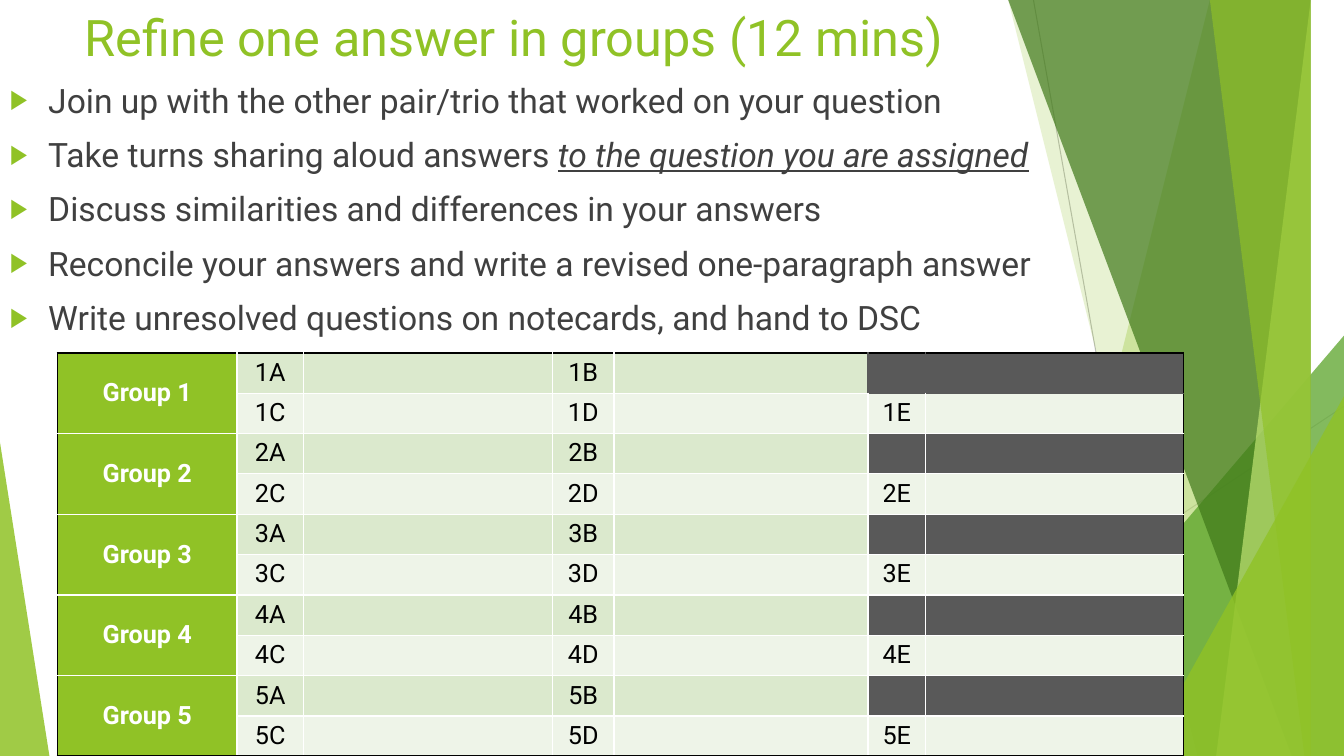
import pptx
import pptx.util
import pptx.dml.color
import pptx.enum.shapes
import pptx.enum.text
import pptx.oxml.ns
import lxml.etree

Inches = pptx.util.Inches
Pt = pptx.util.Pt
qn = pptx.oxml.ns.qn
RGB = pptx.dml.color.RGBColor.from_string
FONT = "Roboto"
HUES = {
    "lime": "90C226", "leaf": "54A021", "pine": "3F7819", "pale": "C0E474",
    "text": "404040", "black": "000000", "white": "FFFFFF", "dark": "595959",
    "band": "DBE9CD", "light": "EEF4E8", "gray": "BFBFBF", "mist": "D9D9D9",
}


def paint(shape, hue, alpha):
    shape.shadow.inherit = False
    shape.line.fill.background()
    shape.fill.solid()
    shape.fill.fore_color.rgb = RGB(HUES[hue])
    tone = shape._element.spPr.find(qn("a:solidFill"))[0]
    lxml.etree.SubElement(tone, qn("a:alpha"), val=str(alpha * 1000))


def style(runs, size, hue, bold=False):
    for run in runs:
        run.font.name = FONT
        run.font.size = Pt(size)
        run.font.bold = bold
        run.font.color.rgb = RGB(HUES[hue])


deck = pptx.Presentation()
deck.slide_width = Inches(13.33)
deck.slide_height = Inches(7.5)
slide = deck.slides.add_slide(deck.slide_layouts[6])
shapes = slide.shapes

rays = [
    (10.25, 0, 11.58, 7.5, "gray"),
    (13.33, 4.03, 8.12, 7.5, "mist"),
]
for x1, y1, x2, y2, hue in rays:
    ray = shapes.add_connector(
        pptx.enum.shapes.MSO_CONNECTOR.STRAIGHT,
        Inches(x1), Inches(y1), Inches(x2), Inches(y2))
    ray.line.color.rgb = RGB(HUES[hue])
    ray.line.width = Pt(0.75)
    lxml.etree.SubElement(ray._element.spPr, qn("a:effectLst"))

shards = [
    ("free", 12.28, 10.04, "lime", 30),
    ("free", 10.5, 11.83, "lime", 20),
    ("tri", (9.77, 3.33, 3.56, 4.17), 1, "leaf", 72),
    ("free", 10.21, 12.91, "pine", 70),
    ("free", 13.03, 11.92, "pale", 70),
    ("free", 11.96, 13.18, "lime", 65),
    ("tri", (11.34, 3.93, 1.99, 3.57), 1, "lime", 80),
    ("tri", (0, 4.39, 0.49, 3.11), 0, "lime", 85),
]
for kind, start, end, hue, alpha in shards:
    if kind == "free":
        pen = shapes.build_freeform(start, 0, scale=Inches(1))
        pen.add_line_segments([(13.33, 0), (13.33, 7.5), (end, 7.5)])
        shard = pen.convert_to_shape()
    else:
        shard = shapes.add_shape(
            pptx.enum.shapes.MSO_SHAPE.ISOSCELES_TRIANGLE,
            *[Inches(side) for side in start])
        shard.adjustments[0] = end
    paint(shard, hue, alpha)

title = shapes.add_textbox(Inches(0.74), 0, Inches(9.4), Inches(0.73))
title.text_frame.word_wrap = True
title.text_frame.vertical_anchor = pptx.enum.text.MSO_ANCHOR.MIDDLE
title.text_frame.text = "Refine one answer in groups (12 mins)"
style(title.text_frame.paragraphs[0].runs, 36, "lime")

steps = [
    ["Join up with the other pair/trio that worked on your question"],
    ["Take turns sharing aloud answers ", "to the question you are assigned"],
    ["Discuss similarities and differences in your answers"],
    ["Reconcile your answers and write a revised one-paragraph answer"],
    ["Write unresolved questions on notecards, and hand to DSC"],
]
body = shapes.add_textbox(0, Inches(0.74), Inches(10.51), Inches(2.76))
frame = body.text_frame
frame.word_wrap = True
for i, parts in enumerate(steps):
    para = frame.add_paragraph() if i else frame.paragraphs[0]
    for part in parts:
        para.add_run().text = part
    style(para.runs, 24, "text")
    for run in para.runs[1:]:
        run.font.italic = True
        run.font.underline = True
    para.space_before = Pt(10)
    props = para._p.get_or_add_pPr()
    props.set("marL", str(Inches(0.38)))
    props.set("indent", str(-Inches(0.38)))
    tint = lxml.etree.SubElement(props, qn("a:buClr"))
    lxml.etree.SubElement(tint, qn("a:srgbClr"), val=HUES["lime"])
    lxml.etree.SubElement(props, qn("a:buSzPct"), val="80000")
    lxml.etree.SubElement(props, qn("a:buFont"), typeface="Arial")
    lxml.etree.SubElement(props, qn("a:buChar"), char="▶")

widths = [1.78, 0.66, 2.47, 0.61, 2.52, 0.57, 2.56]
grid = shapes.add_table(
    10, 7, Inches(0.57), Inches(3.5), Inches(sum(widths)), Inches(3.9)).table
for col, width in zip(grid.columns, widths):
    col.width = Inches(width)
for r in range(10):
    group, low = r // 2 + 1, r % 2
    words = {0: "" if low else f"Group {group}"}
    for c, mark in zip((1, 3, 5), "CDE" if low else "AB"):
        words[c] = f"{group}{mark}"
    for c in range(7):
        cell = grid.cell(r, c)
        hue = "light" if low else "band"
        if c == 0:
            hue = "lime"
        elif c > 4 and not low:
            hue = "dark"
        cell.fill.solid()
        cell.fill.fore_color.rgb = RGB(HUES[hue])
        cell.text_frame.text = words.get(c, "")
        para = cell.text_frame.paragraphs[0]
        para.alignment = pptx.enum.text.PP_ALIGN.CENTER
        para.font.size = Pt(18)
        para.font.name = FONT
        style(para.runs, 18, "black" if c else "white", c == 0)
        if c == 0:
            cell.vertical_anchor = pptx.enum.text.MSO_ANCHOR.MIDDLE
        outer = {"L": c == 0, "R": c == 6, "T": r == 0, "B": r >= 9 - (c == 0)}
        plain = {"L": r == 0 and c > 4, "R": r == 0 and c > 3,
                 "T": r == 1 and c > 4, "B": r == 0 and c > 4}
        for n, side in enumerate("LRTB"):
            tone = "black" if outer[side] else "dark" if plain[side] else "white"
            edge = lxml.etree.Element(
                qn(f"a:ln{side}"), w=str(Pt(1.5 if outer[side] else 1)))
            fill = lxml.etree.SubElement(edge, qn("a:solidFill"))
            lxml.etree.SubElement(fill, qn("a:srgbClr"), val=HUES[tone])
            cell._tc.get_or_add_tcPr().insert(n, edge)
for r in range(0, 10, 2):
    grid.cell(r, 0).merge(grid.cell(r + 1, 0))

deck.save("out.pptx")
